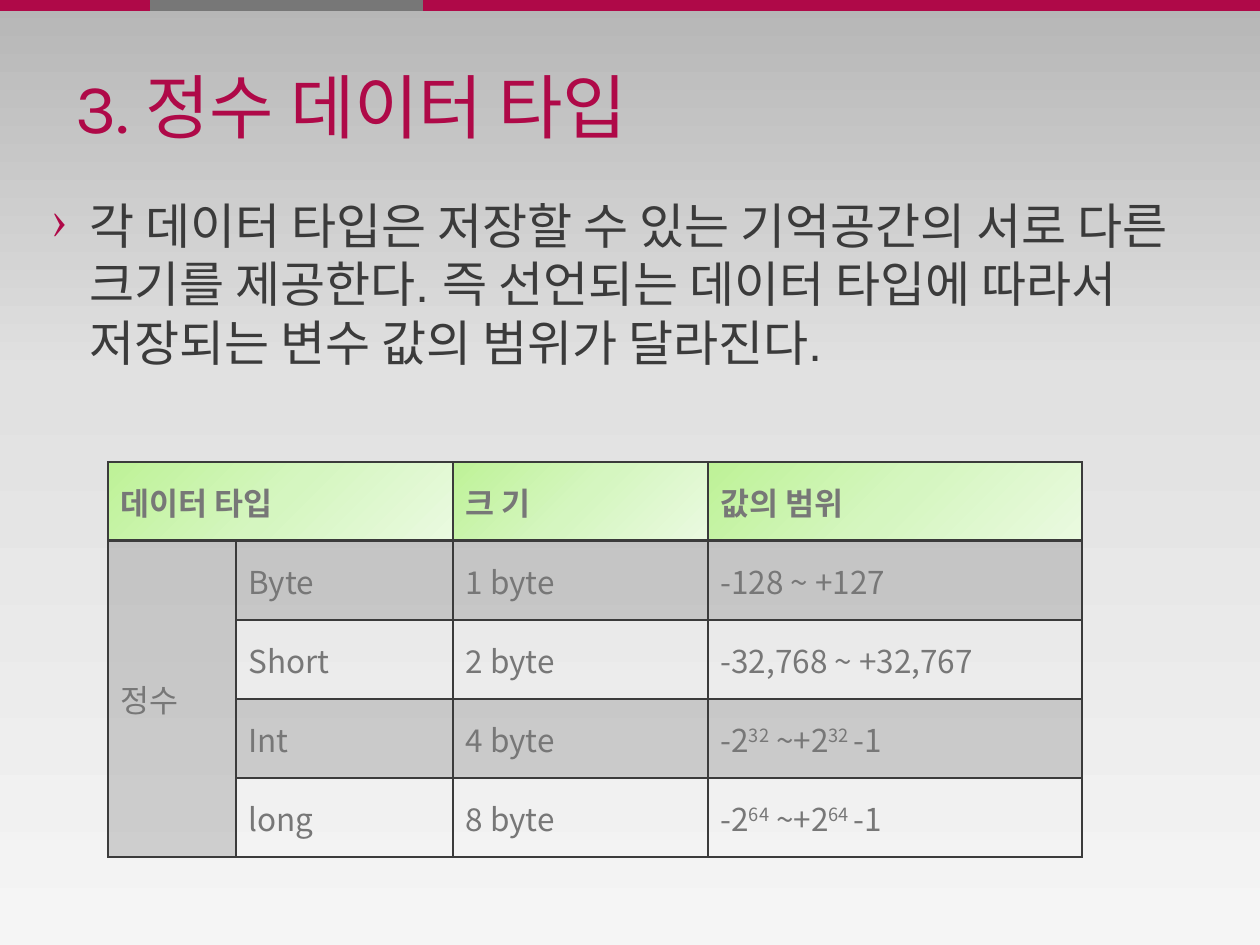
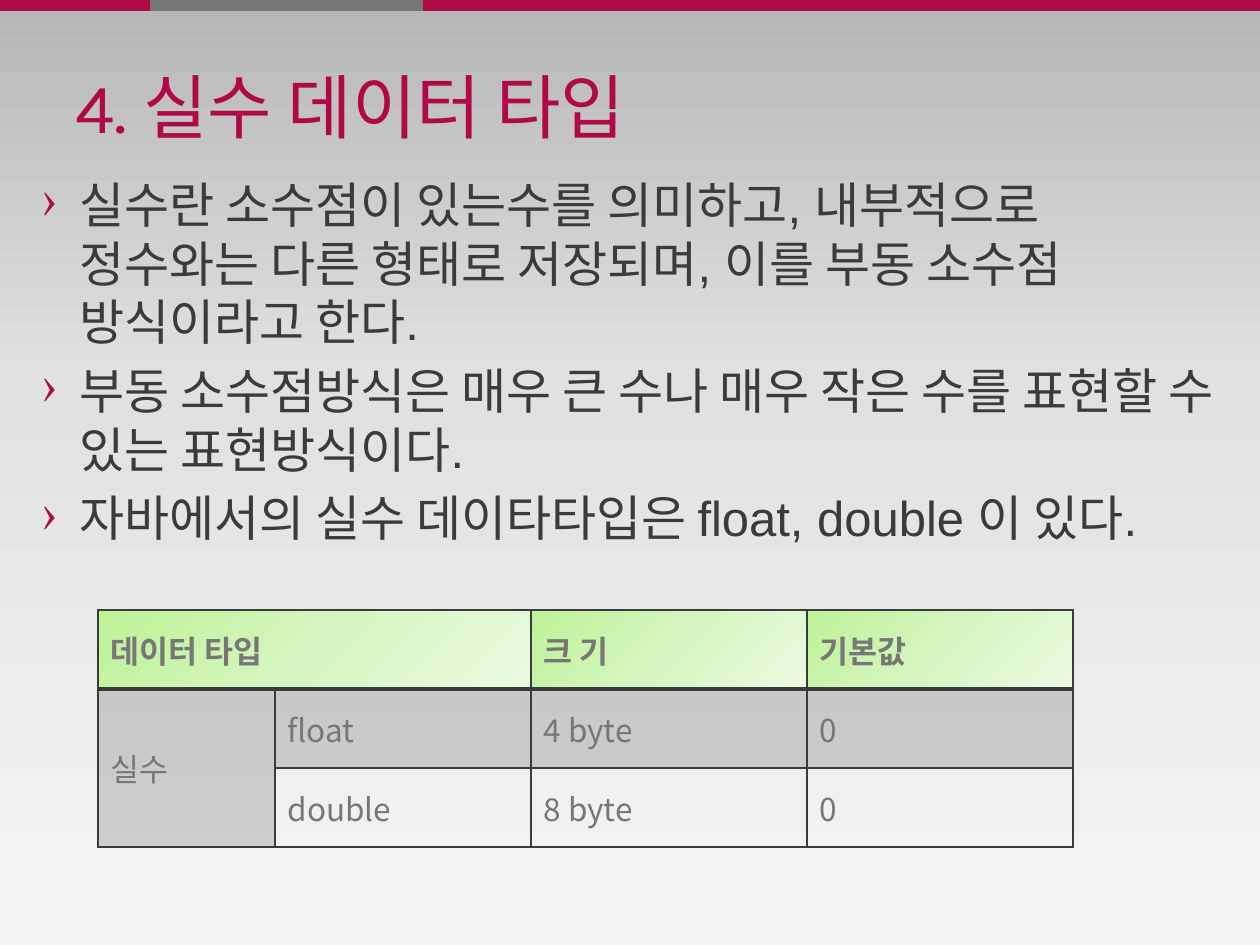
from lxml import etree
from pptx import Presentation
from pptx import util as u
from pptx.dml.color import RGBColor
from pptx.enum import shapes, text
from pptx.oxml import ns

COLORS = {"accent": "AF0948", "grey": "777777", "ink": "3B3B3B"}
BACKGROUND_STOPS = [(0, "B6B6B6"), (40, "E1E1E1"), (100, "F5F5F5")]
HEADER_STOPS = [(0, "BEF297"), (50, "D5F6C0"), (100, "EAFAE0")]
HANGUL_FONT = "Noto Sans CJK KR"
EMU_PER_PX = 914400 / 126
SLIDE_BOX = (0, 0, 1260, 945)
TITLE_BOX = (63, 42, 1134, 127)
ROW_HEIGHT = 79


def px(length):
    return u.Emu(round(length * EMU_PER_PX))


def rgb(name):
    return RGBColor.from_string(COLORS[name])


def add_xml(parent, tag, **attributes):
    return etree.SubElement(parent, ns.qn(tag), attributes)


def paint_gradient(fill, owner, stops, angle):
    fill.gradient()
    fill.gradient_angle = -angle % 360
    stop_list = next(owner.iter(ns.qn("a:gsLst")))
    for stop in list(stop_list):
        stop_list.remove(stop)
    for position, color in stops:
        stop = add_xml(stop_list, "a:gs", pos=str(position * 1000))
        add_xml(stop, "a:srgbClr", val=color)


def write(paragraph, content, size, font, color, bold=False):
    for index, part in enumerate(content.split("^")):
        run = paragraph.add_run()
        run.text = part
        run.font.size = u.Pt(size)
        run.font.name = font
        run.font.bold = bold
        run.font.color.rgb = rgb(color)
        properties = run._r.get_or_add_rPr()
        add_xml(properties, "a:ea", typeface=HANGUL_FONT)
        if index % 2:
            properties.set("baseline", "30000")


def add_frame(slide, box):
    frame = slide.shapes.add_textbox(*map(px, box)).text_frame
    frame.word_wrap = True
    return frame


def draw_bands(slide, box):
    left, top, width, _ = box
    for offset, band_width, color in [(0, width, "accent"), (150, 273, "grey")]:
        band = slide.shapes.add_shape(
            shapes.MSO_SHAPE.RECTANGLE, px(left + offset), px(top), px(band_width), px(11))
        band.shadow.inherit = False
        band.fill.solid()
        band.fill.fore_color.rgb = rgb(color)
        band.line.fill.background()


def draw_title(slide, box, title):
    frame = add_frame(slide, box)
    frame.vertical_anchor = text.MSO_ANCHOR.MIDDLE
    write(frame.paragraphs[0], title, size=40, font="Karla", color="accent")


def draw_points(slide, box, points):
    frame = add_frame(slide, box)
    for index, point in enumerate(points):
        paragraph = frame.add_paragraph() if index else frame.paragraphs[0]
        paragraph.space_before = u.Pt(5.6)
        properties = paragraph._p.get_or_add_pPr()
        properties.set("marL", str(px(38)))
        properties.set("indent", str(px(-38)))
        bullet_color = add_xml(properties, "a:buClr")
        add_xml(bullet_color, "a:srgbClr", val=COLORS["accent"])
        add_xml(properties, "a:buChar", char="›")
        write(paragraph, point, size=28, font="Arial", color="ink")


def draw_borders(cell, row):
    properties = cell._tc.get_or_add_tcPr()
    widths = {"L": 1, "R": 1, "T": 2 if row == 1 else 1, "B": 2 if row == 0 else 1}
    for index, (side, width) in enumerate(widths.items()):
        border = add_xml(properties, f"a:ln{side}", w=str(u.Pt(width)))
        add_xml(add_xml(border, "a:solidFill"), "a:srgbClr", val=COLORS["ink"])
        properties.insert(index, border)


def fill_cell(cell, row, column):
    if row == 0:
        paint_gradient(cell.fill, cell._tc, HEADER_STOPS, 45)
    elif row % 2 or column == 0:
        cell.fill.solid()
        cell.fill.fore_color.rgb = rgb("ink")
        tint = next(cell._tc.iter(ns.qn("a:srgbClr")))
        add_xml(tint, "a:alpha", val="20000")
    else:
        cell.fill.background()


def draw_type_table(slide, box, column_widths, headings, family, types):
    left, top = box
    rows = [[headings[0], "", *headings[1:]]]
    rows += [["" if index else family, *values] for index, values in enumerate(types)]
    table = slide.shapes.add_table(
        len(rows), len(column_widths), px(left), px(top),
        px(sum(column_widths)), px(ROW_HEIGHT * len(rows))).table
    table.first_row = table.horz_banding = False
    for column, width in zip(table.columns, column_widths):
        column.width = px(width)
    for r, values in enumerate(rows):
        table.rows[r].height = px(ROW_HEIGHT)
        for c, value in enumerate(values):
            cell = table.cell(r, c)
            cell.vertical_anchor = text.MSO_ANCHOR.MIDDLE
            fill_cell(cell, r, c)
            draw_borders(cell, r)
            if value:
                write(cell.text_frame.paragraphs[0], value, size=18,
                      font=HANGUL_FONT, color="grey", bold=r == 0)
    table.cell(0, 0).merge(table.cell(0, 1))
    table.cell(1, 0).merge(table.cell(len(types), 0))


def add_type_slide(deck, title, points_box, points, **type_table):
    slide = deck.slides.add_slide(deck.slide_layouts[6])
    paint_gradient(slide.background.fill, slide._element, BACKGROUND_STOPS, 90)
    draw_bands(slide, SLIDE_BOX)
    draw_title(slide, TITLE_BOX, title)
    draw_points(slide, points_box, points)
    draw_type_table(slide, **type_table)


def main():
    deck = Presentation()
    deck.slide_width, deck.slide_height = map(px, SLIDE_BOX[2:])
    add_type_slide(
        deck, "3. 정수 데이터 타입", (39, 189, 1191, 214),
        ["각 데이터 타입은 저장할 수 있는 기억공간의 서로 다른 크기를 제공한다. "
         "즉 선언되는 데이터 타입에 따라서 저장되는 변수 값의 범위가 달라진다."],
        box=(108, 462), column_widths=[128, 217, 255, 374],
        headings=["데이터 타입", "크 기", "값의 범위"], family="정수",
        types=[("Byte", "1 byte", "-128 ~ +127"),
               ("Short", "2 byte", "-32,768 ~ +32,767"),
               ("Int", "4 byte", "-2^32^ ~+2^32 ^-1"),
               ("long", "8 byte", "-2^64^ ~+2^64 ^-1")])
    add_type_slide(
        deck, "4. 실수 데이터 타입", (29, 168, 1201, 364),
        ["실수란 소수점이 있는수를 의미하고, 내부적으로 정수와는 다른 형태로 저장되며, "
         "이를 부동 소수점 방식이라고 한다.",
         "부동 소수점방식은 매우 큰 수나 매우 작은 수를 표현할 수 있는 표현방식이다.",
         "자바에서의 실수 데이타타입은 float, double 이 있다."],
        box=(98, 610), column_widths=[177, 256, 276, 266],
        headings=["데이터 타입", "크 기", "기본값"], family="실수",
        types=[("float", "4 byte", "0"), ("double", "8 byte", "0")])
    deck.save("out.pptx")


if __name__ == "__main__":
    main()
